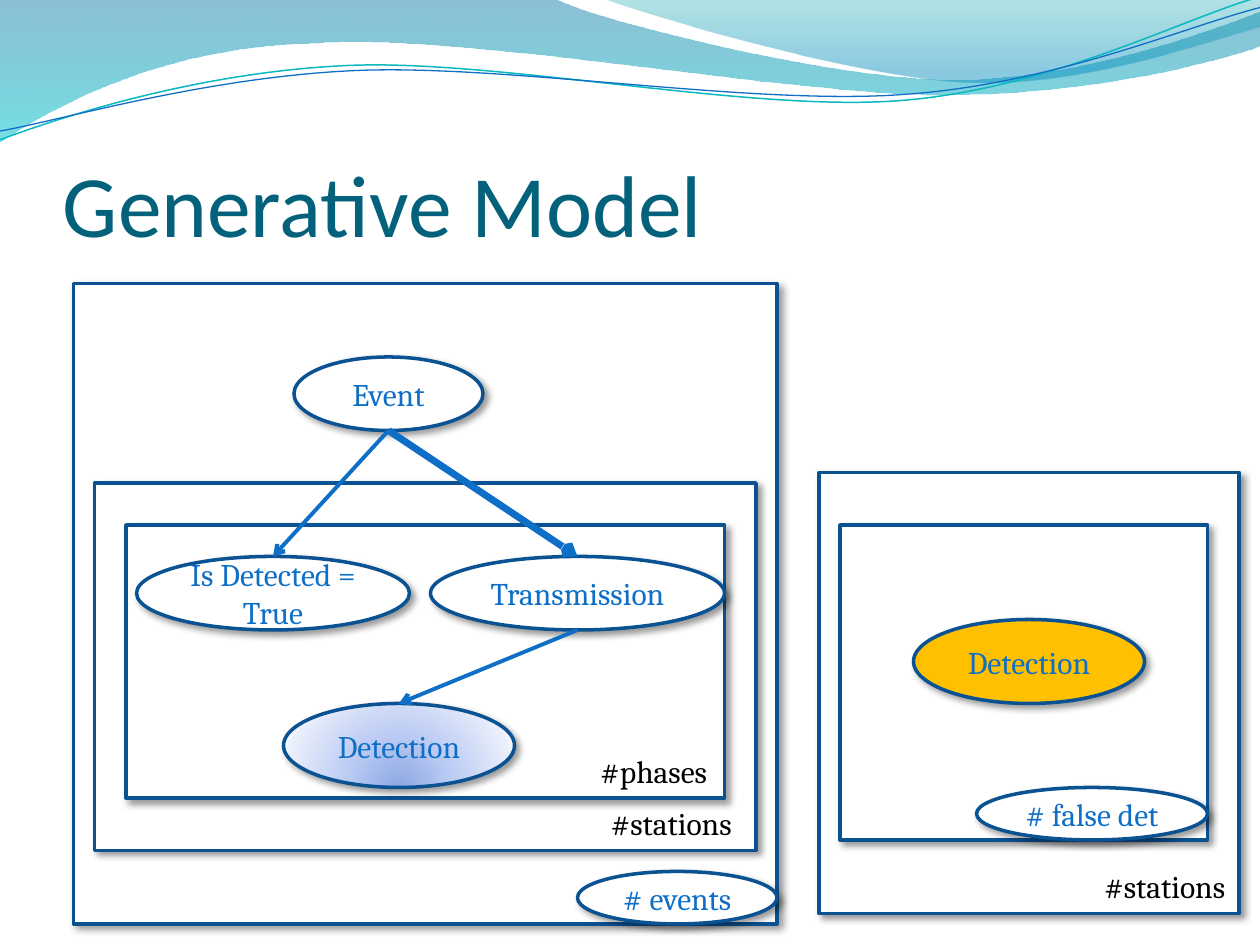
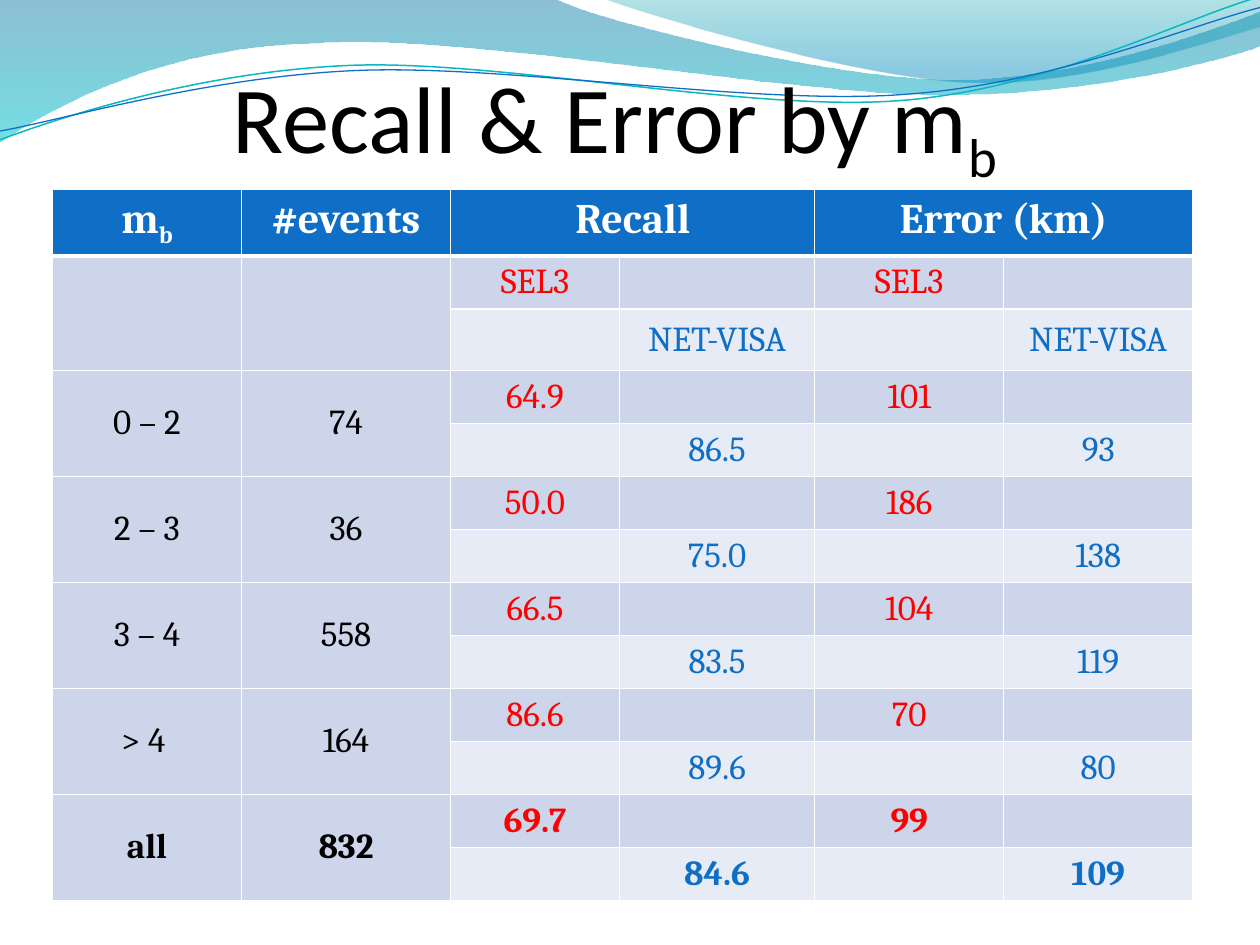
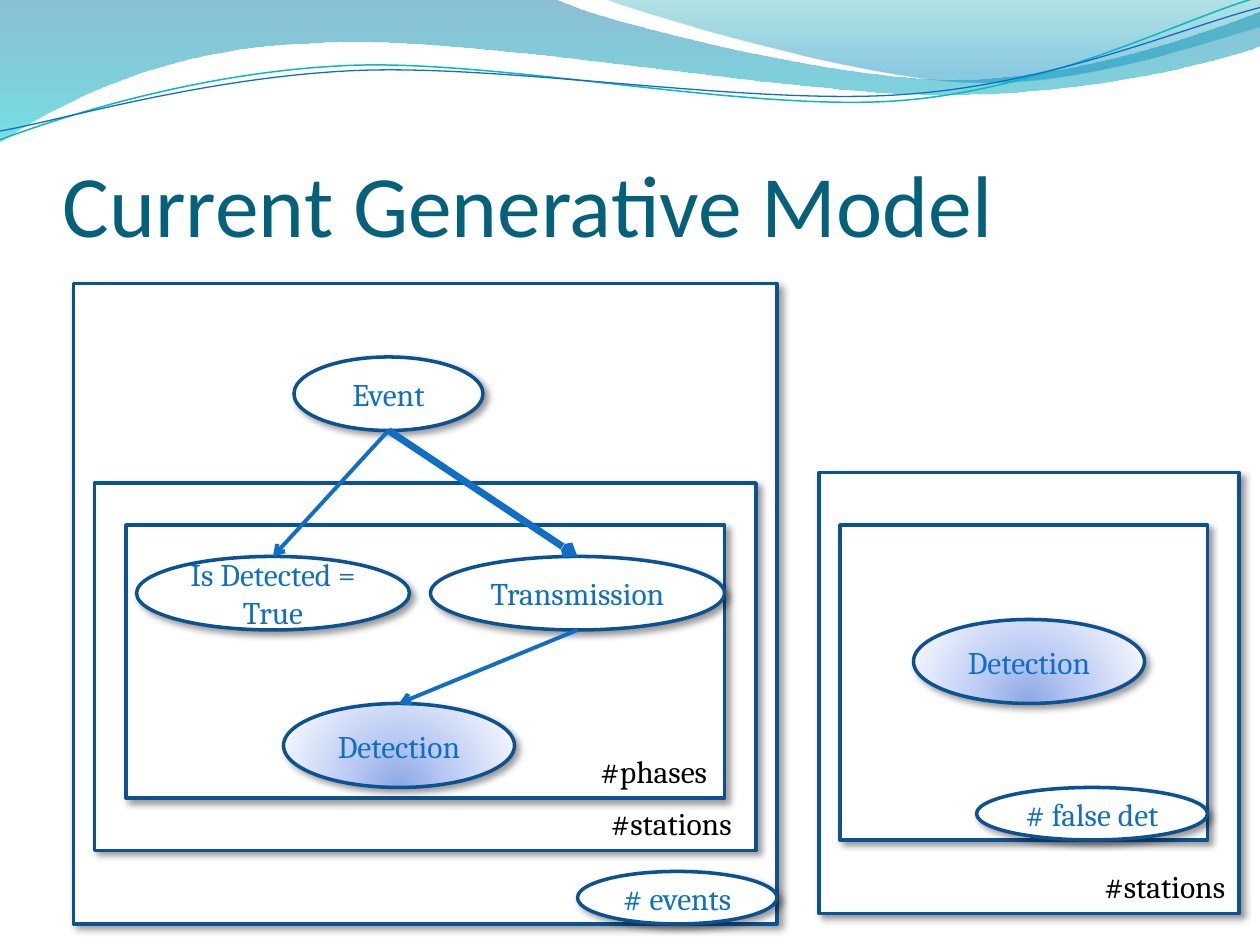
from lxml import etree
from pptx import Presentation
from pptx import util as u
from pptx.dml.color import RGBColor
from pptx.enum import shapes, text
from pptx.oxml import ns, parse_xml

WIDE, HIGH = 10, 7.5
UNIT = 1 / 12  # the diagrams sit on a grid of twelfths of an inch
HEAD, BODY = "Calibri", "Cambria"
BLUE, NAVY, TEAL = "0F6FC6", "0B5292", "04617B"
WHITE, BLACK, RED, GOLD = "FFFFFF", "000000", "FF0000", "FFC000"
DARK, PALE = "CCD5EA", "E7EBF5"
GLOW = [(0, "8DA8E3", 100), (43, "BBCBF3", 100), (93, "EAEFFB", 100), (100, "F7F9FF", 100)]
RADIAL = '<a:path path="circle"><a:fillToRect l="50000" t="130000" r="50000" b="-30000"/></a:path>'
DOWN = '<a:lin ang="5400000" scaled="1"/>'

# A wave: start, then steps of one point (line) or three points (curve), then its format.
WAVES = [
    ((0, 0), [
        [(4.4, -0.01)],
        [(4.76, 0.17), (6.64, 0.63), (7.58, 0.63)],
        [(8.53, 0.63), (9.58, 0.26), (10, 0.09)],
        [(10.01, 0.36)],
        [(9.83, 0.44), (8.7, 0.76), (7.46, 0.75)],
        [(6.22, 0.75), (3.82, 0.28), (2.57, 0.34)],
        [(1.29, 0.36), (0.46, 0.83), (-0.01, 1.13)],
        [(0, 0)],
    ], dict(fill=[(0, "0074A1", 45), (100, "00C6CF", 55)])),
    ((4.79, -0.01), [
        [(5.09, 0.11), (6.82, 0.62), (7.69, 0.65)],
        [(8.56, 0.69), (9.61, 0.32), (10, 0.21)],
        [(10, 0)],
        [(4.79, -0.01)],
    ], dict(fill=[(0, "00A1A9", 30), (80, "008BBF", 45)])),
    ((0, 1.11), [
        [(0.48, 0.93), (1.58, 0.57), (2.77, 0.52)],
        [(3.95, 0.47), (5.93, 0.89), (7.13, 0.8)],
        [(8.33, 0.71), (9.38, 0.15), (9.98, -0.02)],
    ], dict(line="0AB8BF", width=0.85)),
    ((0, 1.04), [
        [(0.47, 0.96), (1.64, 0.61), (2.83, 0.56)],
        [(4.03, 0.51), (5.97, 0.84), (7.17, 0.75)],
        [(8.36, 0.67), (9.41, 0.21), (10, 0.06)],
    ], dict(line=BLUE, width=0.75)),
]

# Diagram parts, in grid units: left, top, width, height.
EVENT, FOUND = (28, 34, 18, 7), (13, 53, 26, 7)
SENT, SEEN, FALSE = (41, 53, 28, 7), (27, 67, 22, 8), (87, 59, 22, 8)
PARTS = [
    ("plate", (7, 27, 67, 61), ""),
    ("plate", (78, 45, 40, 42), ""),
    ("plate", (80, 50, 35, 30), ""),
    ("node", (93, 75, 22, 5), "# false det"),
    ("plate", (9, 46, 63, 35), ""),
    ("node", FALSE, "Detection"),
    ("node", (55, 83, 19, 5), "# events"),
    ("label", (57, 76, 14.4, 4.8), "#stations"),
    ("label", (104, 82, 14.4, 4.8), "#stations"),
    ("node", EVENT, "Event"),
    ("plate", (12, 50, 57, 26), ""),
    ("label", (56, 71, 12.8, 4.8), "#phases"),
    ("node", SEEN, "Detection"),
    ("node", FOUND, "Is Detected = True"),
    ("node", SENT, "Transmission"),
]
# Tail, tip, line width, arrowhead size
EDGES = [(EVENT, FOUND, 2.25, "med"), (EVENT, SENT, 4, "sm"), (SENT, SEEN, 2.25, "med")]

COLS = [1.5, 1.66, 1.34, 1.55, 1.5, 1.5]
TOPS = [("m_b", 0, 1), ("#events", 1, 1), ("Recall", 2, 2), ("Error (km)", 4, 2)]
# Range, events, then (SEL3, NET-VISA) for recall and for error.
GROUPS = [
    ("", "", ("SEL3", "NET-VISA"), ("SEL3", "NET-VISA")),
    ("0 – 2", "74", ("64.9", "86.5"), ("101", "93")),
    ("2 – 3", "36", ("50.0", "75.0"), ("186", "138")),
    ("3 – 4", "558", ("66.5", "83.5"), ("104", "119")),
    ("> 4 ", "164", ("86.6", "89.6"), ("70", "80")),
    ("all", "832", ("69.7", "84.6"), ("99", "109")),
]
ROWS = [0.52, 0.42, 0.49] + [0.42] * (2 * len(GROUPS) - 2)


def rgb(code):
    return RGBColor.from_string(code)


def inch(*vals):
    return [u.Inches(v) for v in vals]


def node(xml):
    tag, rest = xml.split(" ", 1)
    return parse_xml(f"{tag} {ns.nsdecls('a')} {rest}")


def put(frame, words, size=18, font=BODY, color=BLACK, bold=False, align=None):
    """Write one paragraph; what follows an underscore is a subscript."""
    para = frame.paragraphs[0]
    para.alignment = align
    for i, part in enumerate(words.split("_")):
        run = para.add_run()
        run.text = part
        run.font.size, run.font.name, run.font.bold = u.Pt(size), font, bold
        run.font.color.rgb = rgb(color)
        if i:
            run.font._element.set("baseline", "-25000")


def box(slide, at, words, wrap=False, **fmt):
    frame = slide.shapes.add_textbox(*inch(*at)).text_frame
    frame.word_wrap = wrap
    put(frame, words, **fmt)
    return frame


def paint(shape, fill=None, line=None, width=1, way=DOWN):
    """Fill with a colour or with gradient stops, and set the outline."""
    shape.shadow.inherit = False
    if isinstance(fill, str):
        shape.fill.solid()
        shape.fill.fore_color.rgb = rgb(fill)
    else:
        shape.fill.background()
    if isinstance(fill, list):
        stops = "".join(
            f'<a:gs pos="{pos * 1000}"><a:srgbClr val="{code}">'
            f'<a:alpha val="{alpha * 1000}"/></a:srgbClr></a:gs>' for pos, code, alpha in fill)
        blank = shape._element.spPr.find(ns.qn("a:noFill"))
        blank.getparent().replace(blank, node(
            f'<a:gradFill rotWithShape="1"><a:gsLst>{stops}</a:gsLst>{way}</a:gradFill>'))
    if line:
        shape.line.color.rgb = rgb(line)
        shape.line.width = u.Pt(width)
    else:
        shape.line.fill.background()


def shade(shape):
    fx = shape._element.spPr.find(ns.qn("a:effectLst"))
    fx.append(node(
        f'<a:outerShdw blurRad="{u.Pt(4)}" dist="{u.Pt(3)}" dir="2700000" rotWithShape="0">'
        '<a:srgbClr val="000000"><a:alpha val="40000"/></a:srgbClr></a:outerShdw>'))


def bend(shape, steps):
    """Join the outline's line segments, three by three, into cubic curves."""
    lines = iter(list(shape._element.iter(ns.qn("a:lnTo"))))
    for step in steps:
        first = next(lines)
        if len(step) == 3:
            curve = etree.Element(ns.qn("a:cubicBezTo"))
            first.addprevious(curve)
            for line in (first, next(lines), next(lines)):
                curve.append(line[0])
                line.getparent().remove(line)


def waves(slide, layout):
    """Draw the waves and hand them to the layout that all slides share."""
    for start, steps, look in WAVES:
        pen = slide.shapes.build_freeform(*inch(*start))
        pen.add_line_segments([inch(*p) for step in steps for p in step], close="fill" in look)
        wave = pen.convert_to_shape()
        bend(wave, steps)
        paint(wave, **look)
        layout.shapes._spTree.append(wave._element)


def arrow(slide, tail, tip, width, head):
    """Join the bottom of one node to the top of another."""
    ends = (tail[0] + tail[2] / 2, tail[1] + tail[3], tip[0] + tip[2] / 2, tip[1])
    link = slide.shapes.add_connector(
        shapes.MSO_CONNECTOR.STRAIGHT, *inch(*(v * UNIT for v in ends)))
    link.line.color.rgb = rgb(BLUE)
    link.line.width = u.Pt(width)
    link.line._get_or_add_ln().append(
        node(f'<a:tailEnd type="arrow" w="{head}" len="{head}"/>'))
    etree.SubElement(link._element.spPr, ns.qn("a:effectLst"))


def model(slide, title, fills):
    frame = box(slide, (0.5, 0.77, 9, 1.25), title, wrap=True, size=50, font=HEAD, color=TEAL)
    frame.vertical_anchor = text.MSO_ANCHOR.BOTTOM
    frame.margin_left = frame.margin_right = frame.margin_bottom = 0
    for kind, cells, words in PARTS:
        at = [v * UNIT for v in cells]
        if kind == "label":
            box(slide, at, words)
            continue
        form = shapes.MSO_SHAPE.OVAL if kind == "node" else shapes.MSO_SHAPE.RECTANGLE
        part = slide.shapes.add_shape(form, *inch(*at))
        paint(part, fills.get(cells, WHITE), NAVY, 2, RADIAL)
        shade(part)
        if words:
            part.text_frame.vertical_anchor = text.MSO_ANCHOR.MIDDLE
            put(part.text_frame, words, color=BLUE, align=text.PP_ALIGN.CENTER)
    for edge in EDGES:
        arrow(slide, *edge)


def rule(cell, base):
    """Draw white borders; base is the width of the bottom one."""
    props = cell._tc.get_or_add_tcPr()
    for side in "LRTB":
        wide = u.Pt(base if side == "B" else 1)
        props.append(node(f'<a:ln{side} w="{wide}"><a:solidFill><a:srgbClr val="{WHITE}"/>'
                          f'</a:solidFill></a:ln{side}>'))


def scores(slide):
    grid = slide.shapes.add_table(
        len(ROWS), len(COLS), *inch(5 * UNIT, 1.5, sum(COLS), sum(ROWS))).table
    grid.first_row = grid.horz_banding = False
    for col, wide in zip(grid.columns, COLS):
        col.width = u.Inches(wide)
    for r, tall in enumerate(ROWS):
        grid.rows[r].height = u.Inches(tall)
        for c in range(len(COLS)):
            cell = grid.cell(r, c)
            rule(cell, 1 if r else 3)
            cell.fill.solid()
            cell.fill.fore_color.rgb = rgb(BLUE if r == 0 else DARK if r % 2 else PALE)

    def write(r, c, words, size=20, **fmt):
        cell = grid.cell(r, c)
        if r:
            cell.vertical_anchor = text.MSO_ANCHOR.MIDDLE
        if words:
            put(cell.text_frame, words, size=size, align=text.PP_ALIGN.CENTER, **fmt)

    for words, c, span in TOPS:
        if span > 1:
            grid.cell(0, c).merge(grid.cell(0, c + span - 1))
        write(0, c, words, size=24, color=WHITE, bold=True)
    for i, (span, count, *pairs) in enumerate(GROUPS):
        r, bold = 1 + 2 * i, span == "all"
        for c, words in enumerate((span, count)):
            grid.cell(r, c).merge(grid.cell(r + 1, c))
            write(r, c, words, bold=bold)
        for c, (old, new) in zip((2, 4), pairs):
            write(r, c, old, color=RED, bold=bold)
            write(r + 1, c + 1, new, color=BLUE, bold=bold)
    box(slide, (1.75, 0.42, 6.5, 1.01), "Recall & Error by m_b", size=54, font=HEAD)


def main():
    deck = Presentation()
    deck.slide_width, deck.slide_height = inch(WIDE, HIGH)
    blank = deck.slide_layouts[6]
    first, second, third = (deck.slides.add_slide(blank) for _ in range(3))
    waves(first, blank)
    model(first, "Generative Model", {SEEN: GLOW, FALSE: GOLD})
    scores(second)
    model(third, "Current Generative Model", {SEEN: GLOW, FALSE: GLOW})
    deck.save("out.pptx")


if __name__ == "__main__":
    main()
